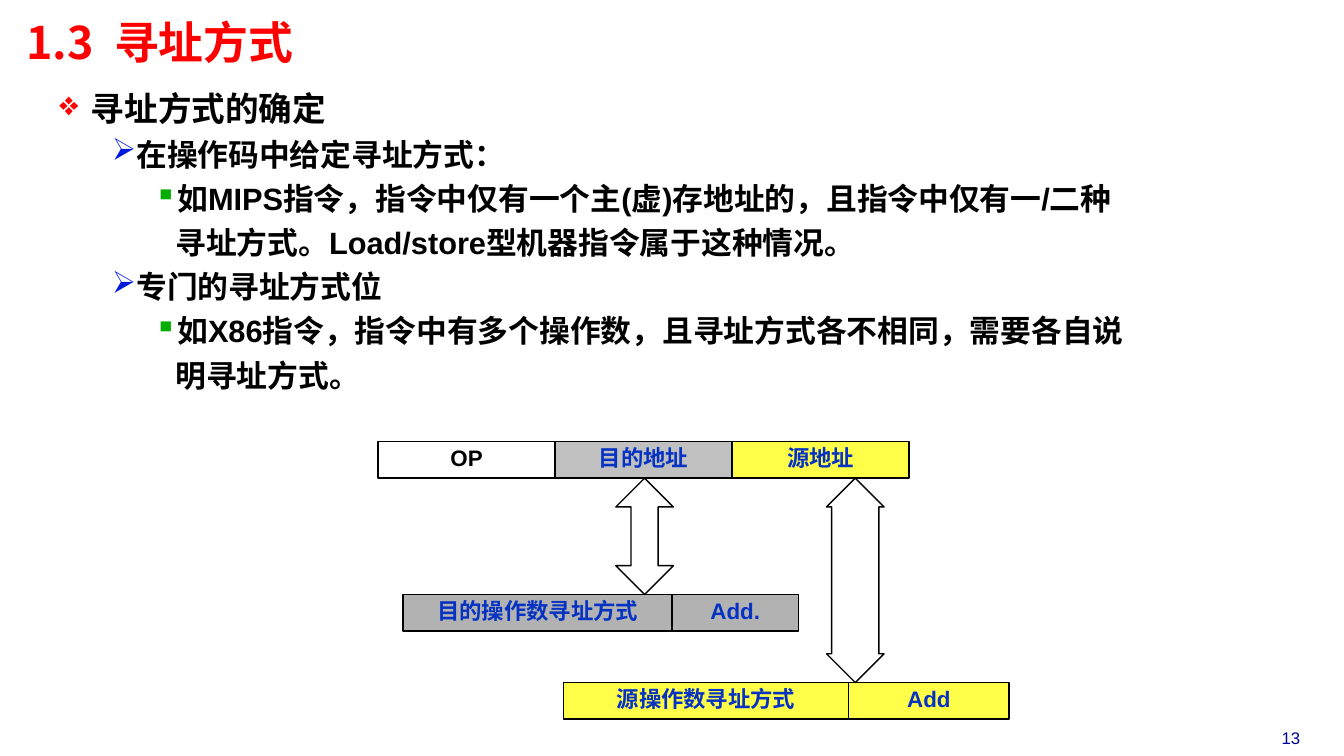
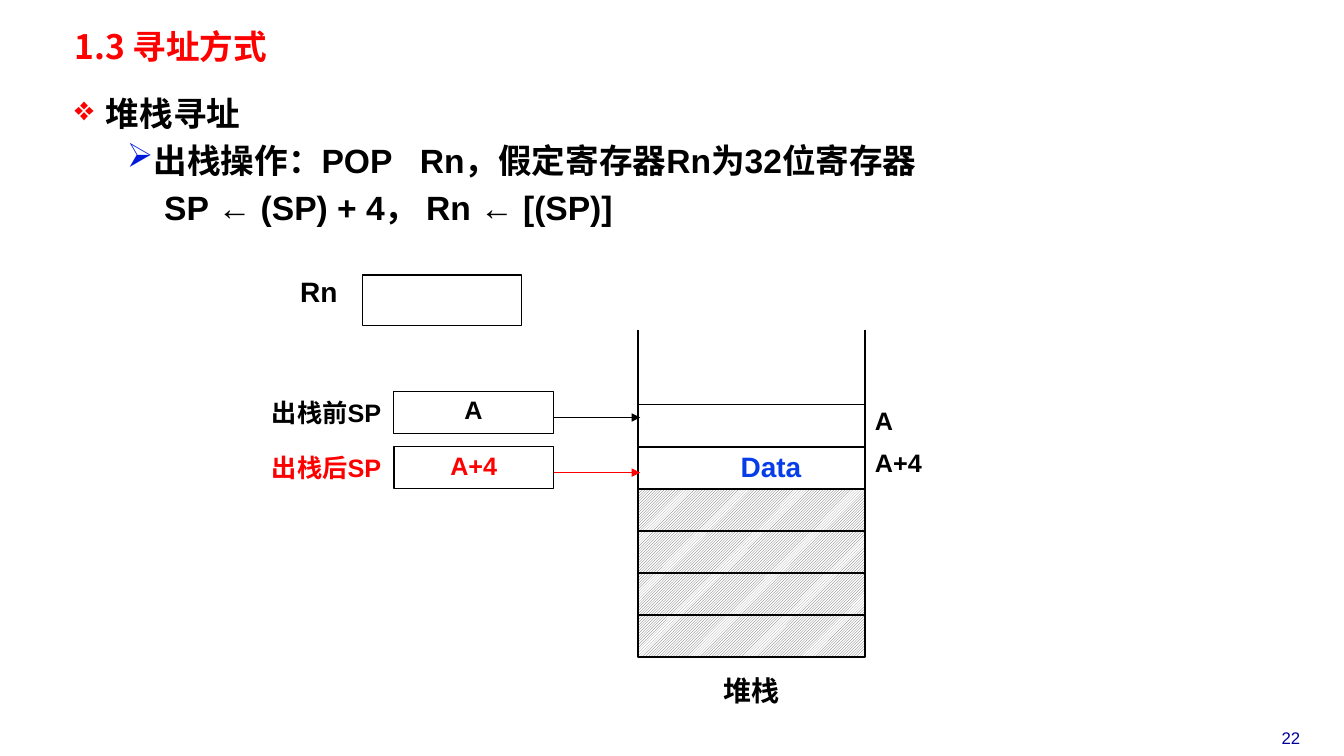
import pptx
import pptx.dml.color
import pptx.enum.dml
import pptx.enum.shapes
import pptx.enum.text
import pptx.oxml
import pptx.oxml.ns
import pptx.util
from pptx.util import Cm

SHAPES = pptx.enum.shapes.MSO_SHAPE
ALIGN = pptx.enum.text.PP_ALIGN
ANCHOR = pptx.enum.text.MSO_ANCHOR
BLACK, RED, BLUE = "000000", "FF0000", "0532C3"
GRAY, SILVER, YELLOW = "B2B2B2", "C0C0C0", "FFFF49"
DATA_BLUE, NUMBER_BLUE = "063DE8", "000099"
BULLETS = {
    0: ("❖", "FF0000", 0.79, -0.79),
    1: ("➢", "001ADC", 1.85, -0.53),
    2: ("▪", "05AD01", 2.92, -0.53),
    "plain": (None, None, 2.26, 0),
}


def rgb(color):
    return pptx.dml.color.RGBColor.from_string(color)


def add_xml(parent, tag, content="", **attributes):
    values = "".join(f' {name}="{value}"' for name, value in attributes.items())
    namespace = pptx.oxml.ns.nsdecls("a")
    parent.append(pptx.oxml.parse_xml(f"<a:{tag} {namespace}{values}>{content}</a:{tag}>"))


class Deck:
    body_font = "Arial"
    title_font = "Noto Sans CJK SC"
    line_width = pptx.util.Pt(1)

    def __init__(self):
        self.presentation = pptx.Presentation()
        self.presentation.slide_width = Cm(33.87)
        self.presentation.slide_height = Cm(19.05)
        self.slide = None

    def style(self, paragraph, size, color, bold=True, font=None, align=ALIGN.LEFT, spacing=0.85):
        paragraph.alignment = align
        paragraph.line_spacing = spacing
        paragraph.font.name = font or self.body_font
        paragraph.font.size = pptx.util.Pt(size)
        paragraph.font.bold = bold
        paragraph.font.color.rgb = rgb(color)

    def narrow_margins(self, frame):
        frame.margin_left = frame.margin_right = Cm(0.18)
        frame.margin_top = frame.margin_bottom = Cm(0.08)

    def add_slide(self, title, number, left, top, height, size):
        self.slide = self.presentation.slides.add_slide(self.presentation.slide_layouts[5])
        shape = self.slide.shapes.title
        shape.left, shape.top, shape.width, shape.height = Cm(left), Cm(top), Cm(19.48), Cm(height)
        frame = shape.text_frame
        frame.text = title
        frame.auto_size = pptx.enum.text.MSO_AUTO_SIZE.NONE
        frame.vertical_anchor = ANCHOR.MIDDLE
        self.narrow_margins(frame)
        self.style(frame.paragraphs[0], size, RED, font=self.title_font, spacing=0.87)
        self.label(str(number), 31.34, 18.21, 2.39, 0.76, 12, NUMBER_BLUE, bold=False, spacing=1.0)

    def text_box(self, left, top, width, height):
        shape = self.slide.shapes.add_textbox(Cm(left), Cm(top), Cm(width), Cm(height))
        shape.text_frame.word_wrap = True
        return shape.text_frame

    def label(self, text, left, top, width, height, size, color=BLACK, align=ALIGN.CENTER, **style):
        frame = self.text_box(left, top, width, height)
        frame.text = text
        self.style(frame.paragraphs[0], size, color, align=align, **style)

    def outline(self, items, left, top, width, height, space=0):
        frame = self.text_box(left, top, width, height)
        self.narrow_margins(frame)
        for index, (level, text, size, line_height) in enumerate(items):
            paragraph = frame.paragraphs[0] if index == 0 else frame.add_paragraph()
            paragraph.text = text
            symbol, color, margin, indent = BULLETS[level]
            properties = paragraph._p.get_or_add_pPr()
            properties.set("marL", str(Cm(margin)))
            properties.set("indent", str(Cm(indent)))
            if symbol:
                add_xml(properties, "buClr", f'<a:srgbClr val="{color}"/>')
                add_xml(properties, "buChar", char=symbol)
            self.style(paragraph, size, BLACK, spacing=pptx.util.Pt(line_height))
            if index and space:
                paragraph.space_before = pptx.util.Pt(space)

    def shape(self, kind, left, top, width, height, fill=None):
        shape = self.slide.shapes.add_shape(kind, Cm(left), Cm(top), Cm(width), Cm(height))
        shape.shadow.inherit = False
        shape.line.color.rgb = rgb(BLACK)
        shape.line.width = self.line_width
        if fill:
            shape.fill.solid()
            shape.fill.fore_color.rgb = rgb(fill)
        else:
            shape.fill.background()
        return shape

    def box(self, left, top, width, height, text="", size=18, color=BLACK, fill=None):
        shape = self.shape(SHAPES.RECTANGLE, left, top, width, height, fill)
        if text:
            frame = shape.text_frame
            frame.text = text
            frame.word_wrap = False
            frame.vertical_anchor = ANCHOR.MIDDLE
            self.style(frame.paragraphs[0], size, color, align=ALIGN.CENTER)
        return shape

    def field_row(self, left, top, fields):
        for text, width, color, fill in fields:
            self.box(left, top, width, 0.92, text, 16, color, fill)
            left += width

    def double_arrow(self, left, top, height, head):
        arrow = self.shape(SHAPES.UP_DOWN_ARROW, left, top, 1.45, height)
        arrow.adjustments[0] = 0.5
        arrow.adjustments[1] = head

    def hatched_box(self, left, top, width, height):
        fill = self.box(left, top, width, height).fill
        fill.patterned()
        fill.pattern = pptx.enum.dml.MSO_PATTERN.LIGHT_UPWARD_DIAGONAL
        fill.fore_color.rgb = rgb("5F5F5F")
        fill.back_color.rgb = rgb("FFFFFF")

    def line(self, start_x, start_y, end_x, end_y, color=BLACK, arrow=False):
        connector = self.slide.shapes.add_connector(
            pptx.enum.shapes.MSO_CONNECTOR.STRAIGHT,
            Cm(start_x), Cm(start_y), Cm(end_x), Cm(end_y))
        connector.line.color.rgb = rgb(color)
        connector.line.width = self.line_width
        if arrow:
            add_xml(connector.line._get_or_add_ln(), "tailEnd", type="triangle")
        add_xml(connector._element.spPr, "effectLst")


def build_addressing_slide(deck):
    deck.add_slide("1.3  寻址方式", 13, 0.48, 0.48, 1.32, 32)
    deck.outline([
        (0, "寻址方式的确定", 24, 34.4),
        (1, "在操作码中给定寻址方式：", 22, 31.6),
        (2, "如MIPS指令，指令中仅有一个主(虚)存地址的，且指令中仅有一/二种寻址方式。"
            "Load/store型机器指令属于这种情况。", 22, 31.6),
        (1, "专门的寻址方式位", 22, 31.6),
        (2, "如X86指令，指令中有多个操作数，且寻址方式各不相同，需要各自说明寻址方式。", 22, 31.6),
    ], 1.32, 1.93, 27.43, 8.05)
    deck.field_row(9.53, 11.13, [
        ("OP", 4.46, BLACK, None),
        ("目的地址", 4.46, BLUE, SILVER),
        ("源地址", 4.46, BLUE, YELLOW),
    ])
    deck.field_row(10.16, 14.98, [
        ("目的操作数寻址方式", 6.78, BLUE, GRAY),
        ("Add.", 3.18, BLUE, GRAY),
    ])
    deck.field_row(14.2, 17.2, [
        ("源操作数寻址方式", 7.19, BLUE, YELLOW),
        ("Add", 4.04, BLUE, YELLOW),
    ])
    deck.double_arrow(15.52, 12.05, 2.93, 0.47)
    deck.double_arrow(20.83, 12.05, 5.15, 0.82)


def build_stack_slide(deck):
    deck.add_slide("1.3 寻址方式", 22, 1.7, 0.71, 1.04, 24)
    deck.outline([
        (0, "堆栈寻址", 24, 22),
        (1, "出栈操作：POP   Rn，假定寄存器Rn为32位寄存器", 24, 24),
        ("plain", "SP ← (SP) + 4， Rn ← [(SP)]", 24, 24),
    ], 1.7, 2.49, 27.84, 3.48, space=9.6)

    deck.label("Rn", 6.93, 6.93, 2.21, 0.99, 20)
    deck.box(9.14, 6.93, 4, 1.27)

    left, top, width, row = 16.08, 10.2, 5.72, 1.06
    right = left + width
    for index in range(6):
        draw = deck.box if index < 2 else deck.hatched_box
        draw(left, top + index * row, width, row)
    for wall in (left, right):
        deck.line(wall, top + row, wall, 8.31)
    deck.label("堆栈", left, 16.97, width, 0.99, 20)
    deck.label("Data", 17.93, 11.34, 3, 0.99, 20, DATA_BLUE)

    pointers = [("出栈前SP", "A", BLACK, 9.91, 9.86), ("出栈后SP", "A+4", RED, 9.93, 11.25)]
    for index, (name, address, color, box_left, box_top) in enumerate(pointers):
        deck.label(name, 6.58, box_top + 0.15, 3.3, 0.91, 18, color)
        deck.box(box_left, box_top, 13.95 - box_left, row, address, 18, color)
        arrow_y = box_top + 0.66
        deck.line(13.95, arrow_y, 16.13, arrow_y, color, arrow=True)
        deck.label(address, right, top + index * row, 1.93, 0.91, 18, align=ALIGN.LEFT)


def main():
    deck = Deck()
    build_addressing_slide(deck)
    build_stack_slide(deck)
    deck.presentation.save("out.pptx")


if __name__ == "__main__":
    main()
